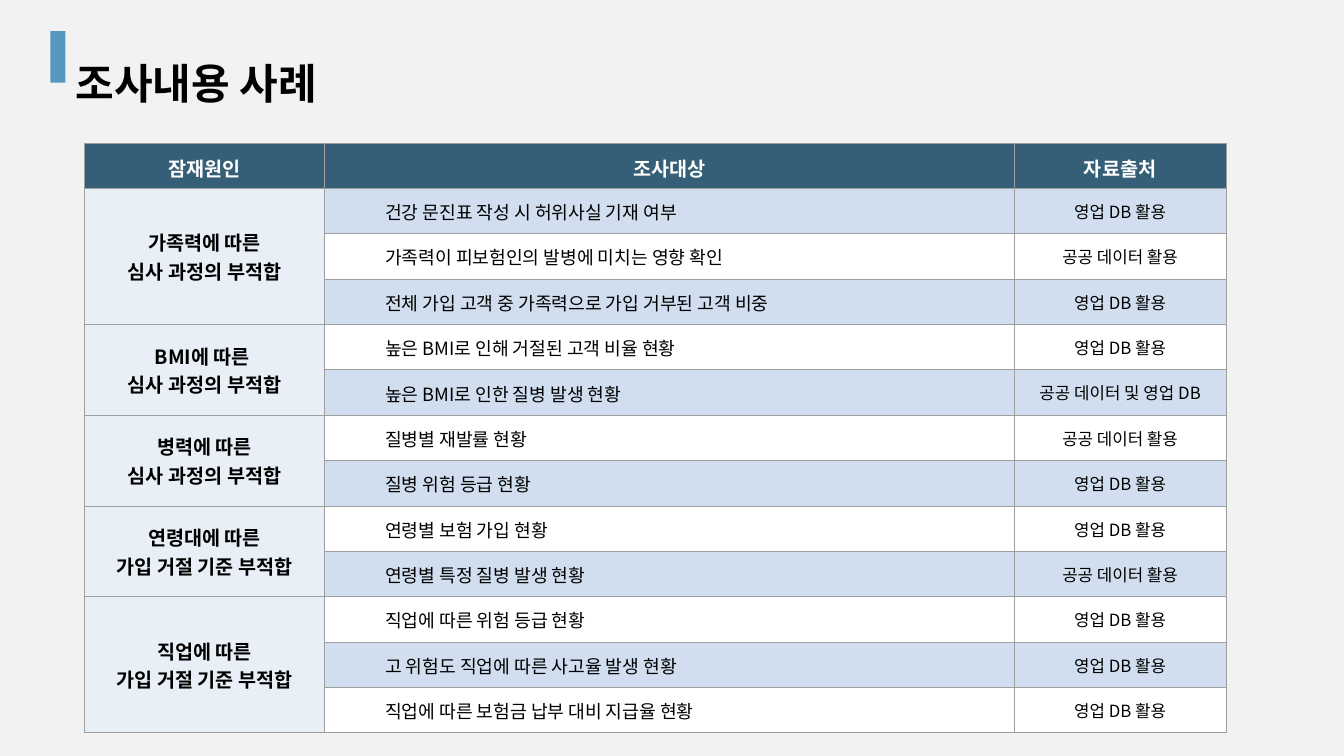
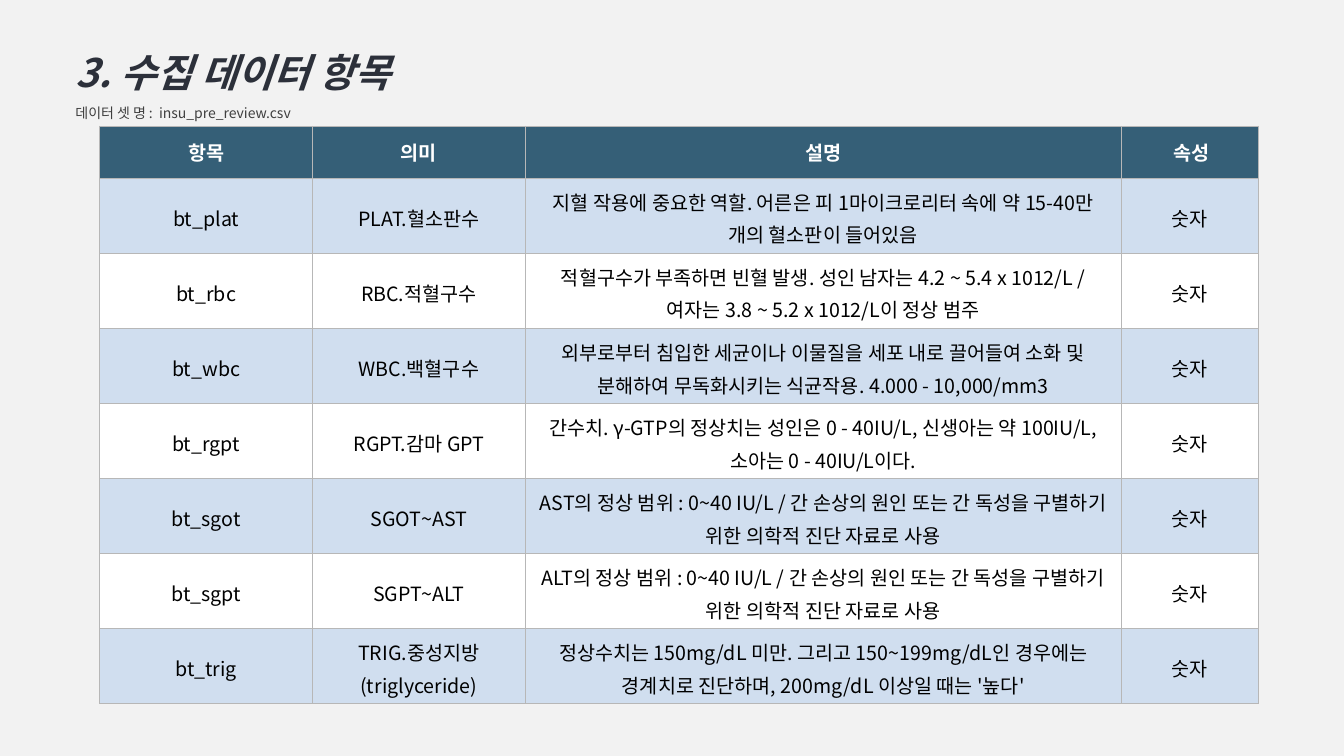
from lxml.etree import SubElement
from pptx import Presentation
from pptx.dml.color import RGBColor
from pptx.enum.shapes import MSO_SHAPE
from pptx.enum.text import MSO_ANCHOR, PP_ALIGN
from pptx.oxml.ns import qn
from pptx.util import Inches, Pt

# Shared look
FONT = "Noto Sans CJK KR"
BLACK = RGBColor(0x00, 0x00, 0x00)
WHITE = RGBColor(0xFF, 0xFF, 0xFF)
PAPER = RGBColor(0xF2, 0xF2, 0xF2)
HEADER = RGBColor(0x35, 0x5F, 0x77)
STRIPE = RGBColor(0xD0, 0xDE, 0xEF)
CAUSE = RGBColor(0xE9, 0xEF, 0xF7)
ACCENT = RGBColor(0x56, 0x97, 0xBF)
TITLE = RGBColor(0x2C, 0x30, 0x3A)
SUBTITLE = RGBColor(0x3F, 0x3F, 0x3F)
CASE_GRID = RGBColor(0x9E, 0x9E, 0x9E)
FIELD_GRID = RGBColor(0xB7, 0xB7, 0xB7)

# Content
SALES, PUBLIC = "영업 DB 활용", "공공 데이터 활용"
CASE_HEADS = {0: "잠재원인", 1: "조사대상", 5: "자료출처"}
CASES = [
    (["가족력에 따른", "심사 과정의 부적합"], [
        ("건강 문진표 작성 시 허위사실 기재 여부", SALES),
        ("가족력이 피보험인의 발병에 미치는 영향 확인", PUBLIC),
        ("전체 가입 고객 중 가족력으로 가입 거부된 고객 비중", SALES)]),
    (["BMI에 따른 ", "심사 과정의 부적합"], [
        ("높은 BMI로 인해 거절된 고객 비율 현황", SALES),
        ("높은 BMI로 인한 질병 발생 현황", "공공 데이터 및 영업 DB")]),
    (["병력에 따른", "심사 과정의 부적합"], [
        ("질병별 재발률 현황", PUBLIC),
        ("질병 위험 등급 현황", SALES)]),
    (["연령대에 따른", "가입 거절 기준 부적합"], [
        ("연령별 보험 가입 현황", SALES),
        ("연령별 특정 질병 발생 현황", PUBLIC)]),
    (["직업에 따른", "가입 거절 기준 부적합"], [
        ("직업에 따른 위험 등급 현황", SALES),
        ("고 위험도 직업에 따른 사고율 발생 현황", SALES),
        ("직업에 따른 보험금 납부 대비 지급율 현황", SALES)]),
]
FIELD_HEADS = {0: "항목", 1: "의미", 2: "설명", 3: " 속성"}
FIELDS = [
    ("bt_plat", "PLAT.혈소판수",
     "지혈 작용에 중요한 역할. 어른은 피 1마이크로리터 속에 약 15-40만 개의 혈소판이 들어있음"),
    ("bt_rbc", "RBC.적혈구수",
     "적혈구수가 부족하면 빈혈 발생. 성인 남자는 4.2 ~ 5.4 x 1012/L / "
     "여자는 3.8 ~ 5.2 x 1012/L이 정상 범주"),
    ("bt_wbc", "WBC.백혈구수",
     "외부로부터 침입한 세균이나 이물질을 세포 내로 끌어들여 소화 및 "
     "분해하여 무독화시키는 식균작용. 4.000 - 10,000/mm3"),
    ("bt_rgpt", "RGPT.감마 GPT",
     "간수치. γ-GTP의 정상치는 성인은 0 - 40IU/L, 신생아는 약 100IU/L, 소아는 0 - 40IU/L이다."),
    ("bt_sgot", "SGOT~AST",
     "AST의 정상 범위 : 0~40 IU/L / 간 손상의 원인 또는 간 독성을 "
     "구별하기 위한 의학적 진단 자료로 사용"),
    ("bt_sgpt", "SGPT~ALT",
     "ALT의 정상 범위 : 0~40 IU/L / 간 손상의 원인 또는 간 독성을 "
     "구별하기 위한 의학적 진단 자료로 사용"),
    ("bt_trig", "TRIG.중성지방(triglyceride)",
     "정상수치는 150mg/dL 미만. 그리고 150~199mg/dL인 경우에는 "
     "경계치로 진단하며, 200mg/dL 이상일 때는 '높다'"),
]


def write(para, text, size=14, color=BLACK, bold=False, italic=False,
          align=PP_ALIGN.LEFT, spacing=1.0, indent=0):
    para.alignment = align
    para.line_spacing = spacing
    if indent:
        para._p.get_or_add_pPr().set("marL", str(Inches(indent)))
    span = para.add_run()
    span.text = text
    font = span.font
    font.name, font.size, font.bold, font.italic = FONT, Pt(size), bold, italic
    font.color.rgb = color
    SubElement(font._element, qn("a:ea"), typeface=FONT)


def add_title(page, top, height, lines):
    box = page.shapes.add_textbox(Inches(0.65), Inches(top), Inches(6.67), Inches(height))
    frame = box.text_frame
    frame.word_wrap = True
    for index, (text, style) in enumerate(lines):
        para = frame.add_paragraph() if index else frame.paragraphs[0]
        write(para, text, spacing=1.5, **style)


def add_grid(page, left, top, widths, heights):
    frame = page.shapes.add_table(len(heights), len(widths), Inches(left), Inches(top),
                                  Inches(sum(widths)), Inches(sum(heights)))
    table = frame.table
    table.first_row = table.horz_banding = False
    for column, width in zip(table.columns, widths):
        column.width = Inches(width)
    for row, height in zip(table.rows, heights):
        row.height = Inches(height)
    return table


def draw_borders(cell, color):
    properties = cell._tc.get_or_add_tcPr()
    for side in ("a:lnL", "a:lnR", "a:lnT", "a:lnB"):
        line = SubElement(properties, qn(side), w=str(Pt(0.75)))
        SubElement(SubElement(line, qn("a:solidFill")), qn("a:srgbClr"), val=str(color))


def fill_cell(cell, lines, fill, grid, margins=(0.1, 0.1), align=PP_ALIGN.CENTER, **style):
    draw_borders(cell, grid)
    cell.fill.solid()
    cell.fill.fore_color.rgb = fill
    cell.vertical_anchor = MSO_ANCHOR.MIDDLE
    cell.margin_left = cell.margin_right = Inches(margins[0])
    cell.margin_top = cell.margin_bottom = Inches(margins[1])
    for index, text in enumerate(lines):
        para = cell.text_frame.add_paragraph() if index else cell.text_frame.paragraphs[0]
        write(para, text, align=align, **style)


def fill_header(table, heads, grid, margins):
    for column in range(len(table.columns)):
        lines = [heads[column]] if column in heads else []
        fill_cell(table.cell(0, column), lines, HEADER, grid, margins, color=WHITE, bold=True)


def build_cases(page):
    add_title(page, 0.27, 0.51, [("조사내용 사례", dict(size=30, bold=True))])
    bar = page.shapes.add_shape(MSO_SHAPE.RECTANGLE, Inches(0.5), Inches(0.31),
                                Inches(0.15), Inches(0.51))
    bar.shadow.inherit = False
    bar.fill.solid()
    bar.fill.fore_color.rgb = ACCENT
    bar.line.fill.background()

    # The target column spans four grid columns; rows grow to fit their text
    count = sum(len(targets) for _, targets in CASES)
    table = add_grid(page, 0.84, 1.42, [2.38, 1.06, 1.58, 2.1, 2.1, 2.1],
                     [0.45] * (count + 1))
    fill_header(table, CASE_HEADS, CASE_GRID, (0.1, 0.1))
    row = 1
    for cause, targets in CASES:
        first = row
        for target, origin in targets:
            fill = STRIPE if row % 2 else WHITE
            fill_cell(table.cell(row, 0), cause if row == first else [], CAUSE, CASE_GRID,
                      bold=True)
            for column in range(1, 5):
                fill_cell(table.cell(row, column), [target] if column == 1 else [], fill,
                          CASE_GRID, align=PP_ALIGN.LEFT, size=13, indent=0.5)
            fill_cell(table.cell(row, 5), [origin], fill, CASE_GRID, size=12)
            row += 1
        table.cell(first, 0).merge(table.cell(row - 1, 0))
    for row in range(count + 1):
        table.cell(row, 1).merge(table.cell(row, 4))


def build_fields(page):
    header, total = 0.52, 5.73
    table = add_grid(page, 0.99, 1.25, [2.11, 2.11, 5.91, 1.36],
                     [header] + [(total - header) / len(FIELDS)] * len(FIELDS))
    fill_header(table, FIELD_HEADS, FIELD_GRID, (0.01, 0.01))
    for row, field in enumerate(FIELDS, start=1):
        for column, text in enumerate(field + ("숫자",)):
            fill_cell(table.cell(row, column), [text], STRIPE if row % 2 else WHITE,
                      FIELD_GRID, (0.1 if column == 2 else 0.03, 0.02), spacing=1.15)
    add_title(page, 0.2, 1.06, [
        ("3. 수집 데이터 항목", dict(size=28, color=TITLE, bold=True, italic=True)),
        ("데이터 셋 명 :  insu_pre_review.csv", dict(size=10, color=SUBTITLE)),
    ])


def main():
    deck = Presentation()
    deck.slide_width, deck.slide_height = Inches(13.33), Inches(7.5)
    background = deck.slide_master.background.fill
    background.solid()
    background.fore_color.rgb = PAPER
    for build in (build_cases, build_fields):
        build(deck.slides.add_slide(deck.slide_layouts[6]))
    deck.save("out.pptx")


if __name__ == "__main__":
    main()
